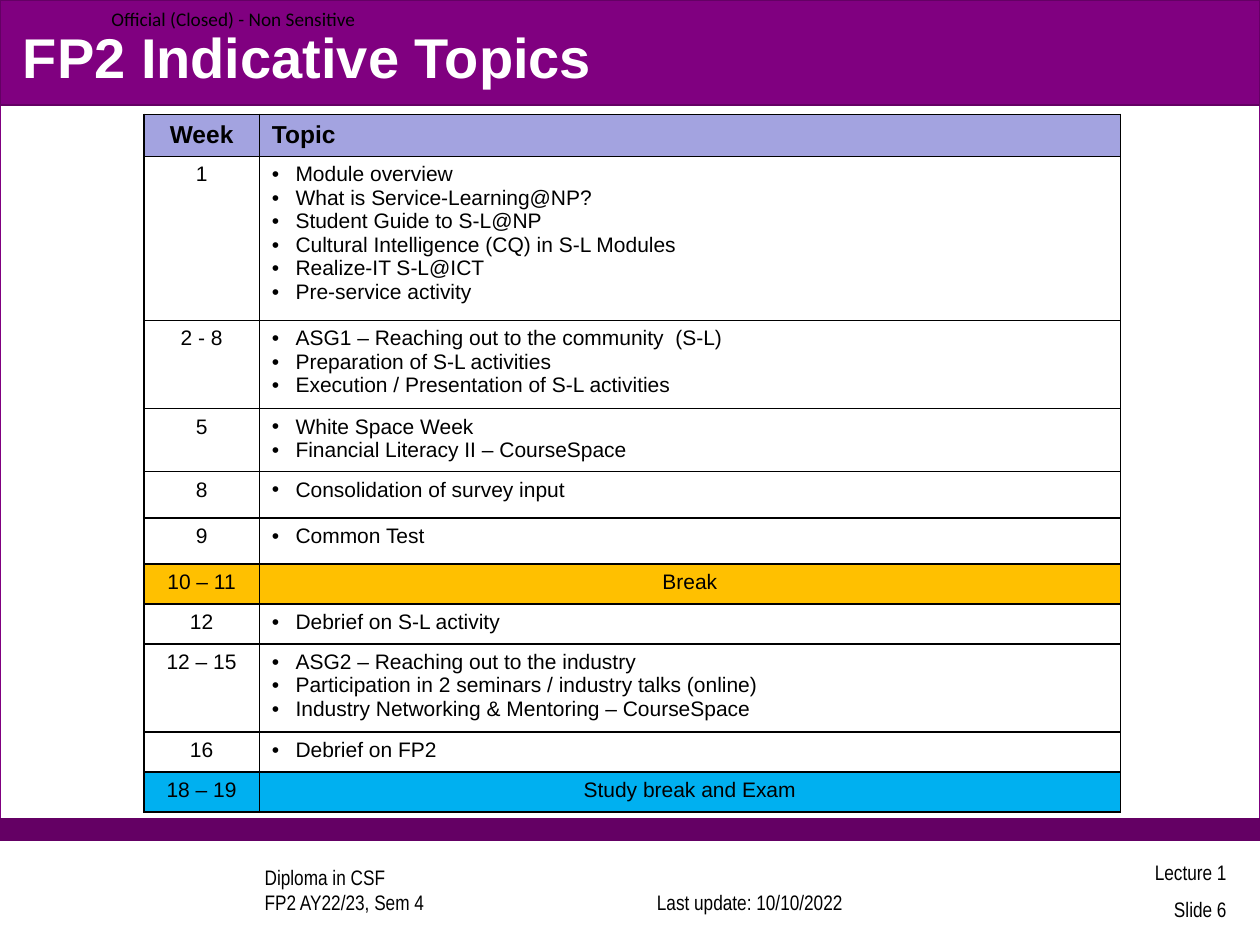
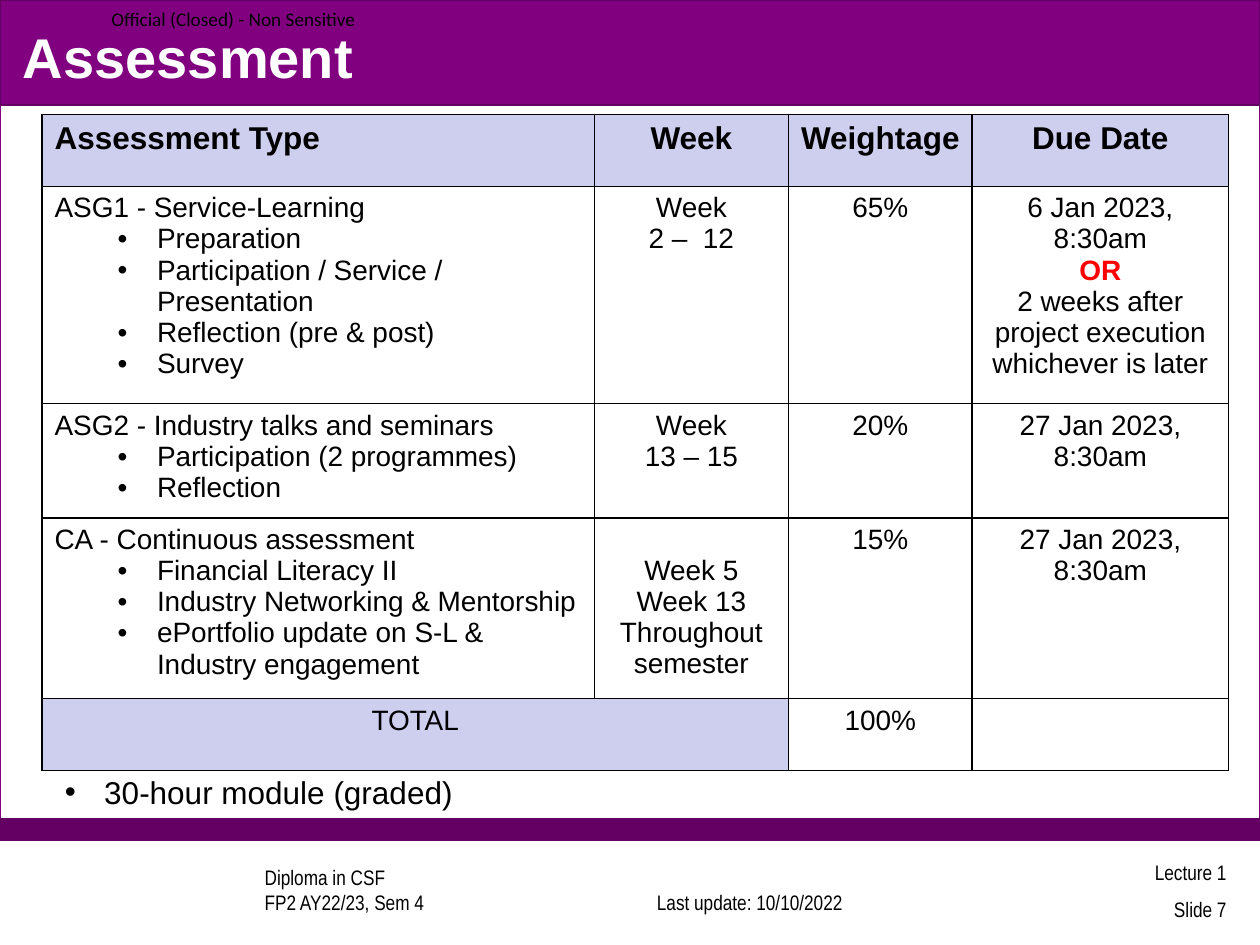
from dataclasses import dataclass
from lxml import etree
from pptx import Presentation
from pptx.dml.color import RGBColor
from pptx.enum.shapes import MSO_SHAPE
from pptx.enum.text import MSO_ANCHOR, PP_ALIGN
from pptx.oxml.ns import qn
from pptx.util import Emu, Inches, Pt

RECT = MSO_SHAPE.RECTANGLE
TOP, MIDDLE, BOTTOM = MSO_ANCHOR.TOP, MSO_ANCHOR.MIDDLE, MSO_ANCHOR.BOTTOM
LEFT, CENTER, RIGHT = PP_ALIGN.LEFT, PP_ALIGN.CENTER, PP_ALIGN.RIGHT

SLIDE_W, SLIDE_H = Inches(10), Inches(7.5)
UNIT = SLIDE_W // 120  # the slide is a grid of 120 columns by 90 rows
PAD = (1.2, 0.6, 1.2, 0.6)  # left, top, right, bottom

BLACK, WHITE, RED = "000000", "FFFFFF", "FF0000"
PURPLE, DARK_PURPLE = "800080", "640064"
LAVENDER, PALE_LAVENDER = "A3A3E0", "CECEEF"
AMBER, SKY = "FFC000", "00B0F0"


@dataclass
class Line:
    """One paragraph; bullet is the text indent and the hang, in grid units."""
    text: str
    size: float = 12
    font: str = "Arial"
    color: str = BLACK
    bold: bool = False
    align: PP_ALIGN = LEFT
    bullet: tuple = None
    before: float = 0


def grid(n):
    return Emu(round(n * UNIT))


def rgb(value):
    return RGBColor.from_string(value)


def write(tf, lines):
    for i, line in enumerate(lines):
        p = tf.paragraphs[0] if i == 0 else tf.add_paragraph()
        p.alignment = line.align
        if line.before:
            p.space_before = Pt(line.before)
        if line.bullet:
            indent, hang = line.bullet
            pPr = p._p.get_or_add_pPr()
            pPr.set("marL", str(grid(indent)))
            pPr.set("indent", str(-grid(hang)))
            etree.SubElement(pPr, qn("a:buFont")).set("typeface", "Arial")
            etree.SubElement(pPr, qn("a:buChar")).set("char", "•")
        for j, part in enumerate(line.text.split("\n")):
            if j:
                p.add_line_break()
            r = p.add_run()
            r.text = part
            r.font.name, r.font.size, r.font.bold = line.font, Pt(line.size), line.bold
            r.font.color.rgb = rgb(line.color)
        # the end mark would otherwise be 18 pt and stretch table rows
        etree.SubElement(p._p, qn("a:endParaRPr"), sz=str(line.size * 100))


def add_band(slide, box, fill, line):
    sp = slide.shapes.add_shape(RECT, *map(grid, box))
    sp.shadow.inherit = False
    sp.fill.solid()
    sp.fill.fore_color.rgb = rgb(fill)
    sp.line.color.rgb = rgb(line)
    sp.line.width = Pt(0.75)


def add_text(slide, box, lines, anchor=TOP, pad=PAD):
    tf = slide.shapes.add_textbox(*map(grid, box)).text_frame
    tf.word_wrap = True
    tf.vertical_anchor = anchor
    tf.margin_left, tf.margin_top, tf.margin_right, tf.margin_bottom = map(grid, pad)
    write(tf, lines)


def style_cell(cell, fill):
    tcPr = cell._tc.get_or_add_tcPr()
    for side in ("lnL", "lnR", "lnT", "lnB"):
        ln = etree.SubElement(tcPr, qn(f"a:{side}"), w=str(Pt(1)))
        solid = etree.SubElement(ln, qn("a:solidFill"))
        etree.SubElement(solid, qn("a:srgbClr"), val=BLACK)
    cell.fill.solid()
    cell.fill.fore_color.rgb = rgb(fill)


def add_grid_table(slide, left, top, cols, rows, cells):
    """Draw a bordered table; each cell is a pair of lines and fill."""
    tbl = slide.shapes.add_table(len(rows), len(cols), grid(left), grid(top),
                                 grid(sum(cols)), grid(sum(rows))).table
    tbl.first_row = tbl.horz_banding = False
    for column, width in zip(tbl.columns, cols):
        column.width = grid(width)
    for row, height, contents in zip(tbl.rows, rows, cells):
        row.height = grid(height)
        for cell, (lines, fill) in zip(row.cells, contents):
            style_cell(cell, fill)
            write(cell.text_frame, lines)
    return tbl


def add_footer(slide, top, number):
    def small(text, **style):
        return Line(text, font="Arial Narrow", **style)

    add_text(slide, (18, top, 38, 5), [small("Diploma in CSF\nFP2 AY22/23, Sem 4")],
             BOTTOM, (7.2, 0.6, 1.2, 0.6))
    add_text(slide, (58.5, top, 25, 5),
             [small("Last update: 10/10/2022", align=CENTER)], BOTTOM, (2, 0.6, 1.2, 0.6))
    add_text(slide, (93, top - 0.4, 25, 5),
             [small("Lecture 1", align=RIGHT),
              small(f"Slide {number}", align=RIGHT, before=6.5)], MIDDLE)


def new_slide(prs, title, number):
    slide = prs.slides.add_slide(prs.slide_layouts[6])
    add_band(slide, (0, 0, 120, 80), WHITE, PURPLE)
    add_band(slide, (0, 78, 120, 2), DARK_PURPLE, DARK_PURPLE)
    add_band(slide, (0, 0, 120, 10), PURPLE, DARK_PURPLE)
    add_footer(slide, 82.7, number)
    add_text(slide, (0, 0, 36, 3.6), [Line("Official (Closed) - Non Sensitive", 11, "Calibri")],
             MIDDLE, (10.6, 0, 0, 0))
    add_text(slide, (1, 1.6, 118, 7.5), [Line(title, 32, color=WHITE, bold=True)], MIDDLE)
    return slide


TOPICS = [  # week, topics (a plain string is a break), least height, fill
    ("1", ["Module overview", "What is Service-Learning@NP?", "Student Guide to S-L@NP",
           "Cultural Intelligence (CQ) in S-L Modules", "Realize-IT S-L@ICT",
           "Pre-service activity"], 3.8, WHITE),
    ("2 - 8", ["ASG1 – Reaching out to the community  (S-L)", "Preparation of S-L activities",
               "Execution / Presentation of S-L activities"], 3.8, WHITE),
    ("5", ["White Space Week", "Financial Literacy II – CourseSpace"], 3.8, WHITE),
    ("8", ["Consolidation of survey input"], 4.4, WHITE),
    ("9", ["Common Test"], 4.4, WHITE),
    ("10 – 11", "Break", 3.8, AMBER),
    ("12", ["Debrief on S-L activity"], 3.8, WHITE),
    ("12 – 15", ["ASG2 – Reaching out to the industry",
                 "Participation in 2 seminars / industry talks (online)",
                 "Industry Networking & Mentoring – CourseSpace"], 3.8, WHITE),
    ("16", ["Debrief on FP2"], 3.8, WHITE),
    ("18 – 19", "Study break and Exam", 3.8, SKY),
]


def topics_slide(prs):
    slide = new_slide(prs, "FP2 Indicative Topics", 6)
    rows = [3.8]
    cells = [[([Line("Week", 14, bold=True, align=CENTER)], LAVENDER),
              ([Line("Topic", 14, bold=True)], LAVENDER)]]
    for week, topics, least, fill in TOPICS:
        if isinstance(topics, str):
            lines = [Line(topics, align=CENTER)]
        else:
            lines = [Line(t, bullet=(2.25, 2.25)) for t in topics]
        rows.append(max(least, 1.2 + 2.24 * len(lines)))
        cells.append([([Line(week, align=CENTER)], fill), (lines, fill)])
    add_grid_table(slide, 13.7, 10.9, [11, 82], rows, cells)


HEADINGS = ["Assessment Type", "Week", "Weightage", "Due Date"]
ASSESSMENTS = [  # name, parts, weeks, weightage, due date
    ("ASG1 - Service-Learning",
     ["Preparation", "Participation / Service / Presentation", "Reflection (pre & post)", "Survey"],
     ["Week", "2 –  12"], "65%",
     ["6 Jan 2023, 8:30am", "OR", "2 weeks after project execution whichever is later"]),
    ("ASG2 - Industry talks and seminars", ["Participation (2 programmes)", "Reflection"],
     ["Week", "13 – 15"], "20%", ["27 Jan 2023, 8:30am"]),
    ("CA - Continuous assessment",
     ["Financial Literacy II", "Industry Networking & Mentorship",
      "ePortfolio update on S-L & Industry engagement"],
     ["Week 5", "Week 13", "Throughout semester"], "15%", ["27 Jan 2023, 8:30am"]),
]


def centered(texts):
    return [Line(t, 16, align=CENTER, bold=t == "OR", color=RED if t == "OR" else BLACK)
            for t in texts]


def assessment_slide(prs):
    slide = new_slide(prs, "Assessment", 7)
    cells = [[([Line(h, 18, bold=True, align=CENTER if i else LEFT)], PALE_LAVENDER)
              for i, h in enumerate(HEADINGS)]]
    for name, parts, weeks, weightage, due in ASSESSMENTS:
        work = [Line(name, 16)] + [Line(t, 16, bullet=(9.75, 3.75)) for t in parts]
        cells.append([(work, WHITE)] + [(centered(texts), WHITE)
                                        for texts in (weeks, [weightage], due)])
    cells.append([(centered(["TOTAL"]), PALE_LAVENDER), ([], PALE_LAVENDER),
                  (centered(["100%"]), WHITE), ([], WHITE)])
    tbl = add_grid_table(slide, 4, 10.9, [52.6, 18.5, 17.5, 24.4],
                         [6.85, 20.7, 10.9, 16.8, 6.85], cells)
    tbl.cell(4, 0).merge(tbl.cell(4, 1))
    weightage_head = tbl.cell(0, 2)  # narrow margins keep the word on one line
    weightage_head.margin_left = weightage_head.margin_right = grid(0.6)
    tbl.cell(3, 1).margin_top = grid(3.55)  # weeks start level with the first part
    add_text(slide, (5, 73, 49, 5),
             [Line("30-hour module (graded)", 18, bullet=(3.75, 3.75))])


def main():
    prs = Presentation()
    prs.slide_width, prs.slide_height = SLIDE_W, SLIDE_H
    topics_slide(prs)
    assessment_slide(prs)
    prs.save("out.pptx")


if __name__ == "__main__":
    main()
